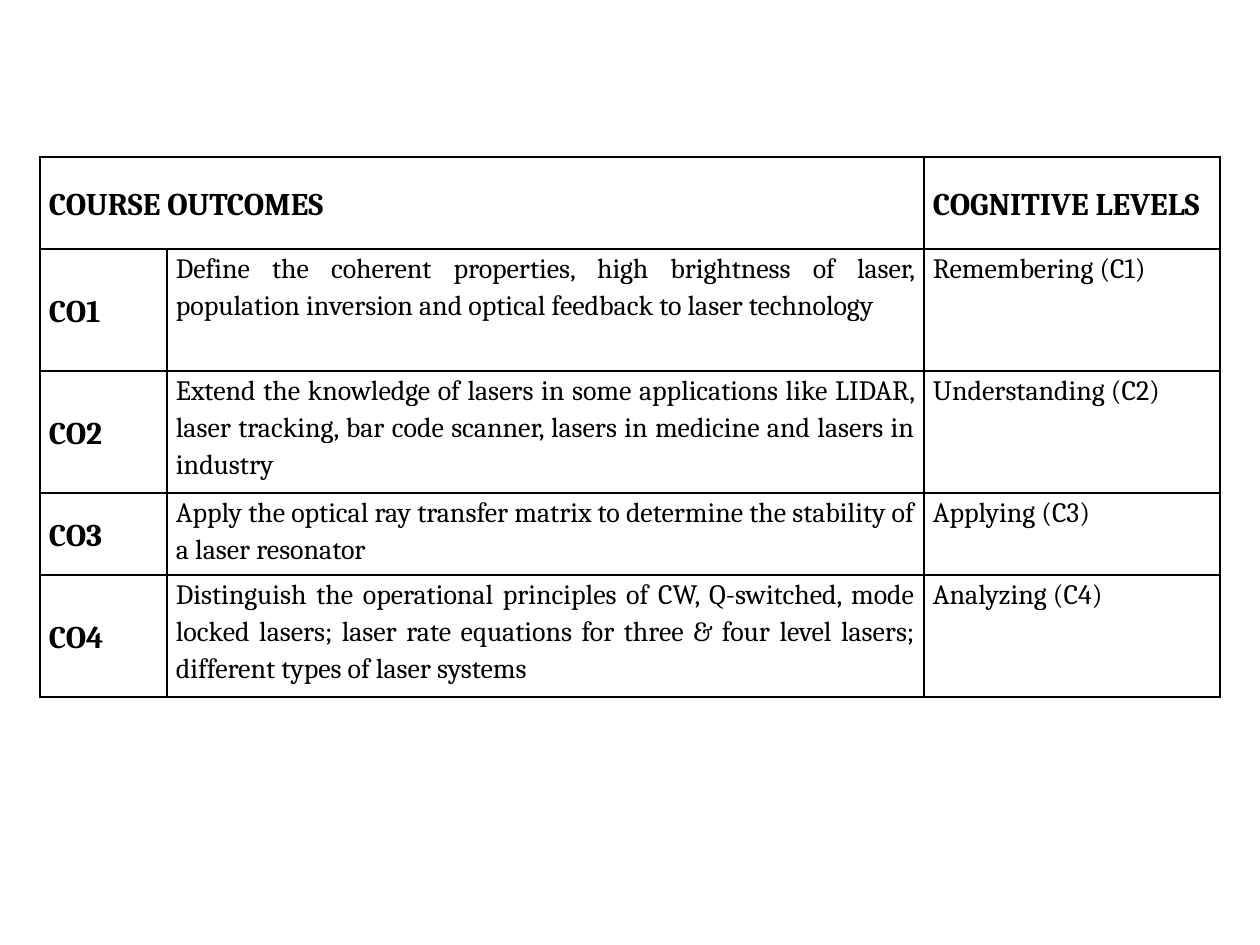
from lxml.etree import SubElement
from pptx import Presentation
from pptx.dml.color import RGBColor
from pptx.enum.text import MSO_ANCHOR as Anchor, PP_ALIGN as Align
from pptx.oxml.ns import qn
from pptx.util import Emu, Pt

SCALE = 914400 / 126
INK = "000000"
PAPER = "FFFFFF"
COLS = [127, 757, 296]
ROWS = [92, 122, 122, 82, 122]
GOALS = [
    ("Define the coherent properties, high brightness of laser, "
     "population inversion and optical feedback to laser technology",
     "Remembering (C1)"),
    ("Extend the knowledge of lasers in some applications like LIDAR, "
     "laser tracking, bar code scanner, lasers in medicine and lasers in industry",
     "Understanding (C2)"),
    ("Apply the optical ray transfer matrix to determine the stability of "
     "a laser resonator",
     "Applying (C3)"),
    ("Distinguish the operational principles of CW, Q-switched, mode locked "
     "lasers; laser rate equations for three & four level lasers; "
     "different types of laser systems",
     "Analyzing (C4)"),
]


def px(n):
    return Emu(round(n * SCALE))


def color(code):
    return RGBColor.from_string(code)


def frame(cell):
    """Rule all four sides of a cell and fill it."""
    props = cell._tc.get_or_add_tcPr()
    for side in ("lnL", "lnR", "lnT", "lnB"):
        line = SubElement(props, qn(f"a:{side}"), w=str(Pt(1.5)))
        fill = SubElement(line, qn("a:solidFill"))
        SubElement(fill, qn("a:srgbClr"), val=INK)
    cell.fill.solid()
    cell.fill.fore_color.rgb = color(PAPER)


def write(cell, text, head=False, align=Align.LEFT):
    cell.margin_left = cell.margin_right = px(9)
    cell.margin_top = cell.margin_bottom = 0
    cell.vertical_anchor = Anchor.MIDDLE if head else Anchor.TOP
    cell.text = text
    para = cell.text_frame.paragraphs[0]
    para.alignment = align
    para.line_spacing = 1.15
    font = para.font
    font.name = "Cambria"
    font.size = Pt(18 if head else 16)
    font.bold = head
    font.color.rgb = color(INK)


def add_goals(slide, left, top):
    """Place the table of course outcomes."""
    table = slide.shapes.add_table(
        len(ROWS), len(COLS), px(left), px(top),
        px(sum(COLS)), px(sum(ROWS))).table
    table.first_row = table.horz_banding = False
    for col, width in zip(table.columns, COLS):
        col.width = px(width)
    for row, height in zip(table.rows, ROWS):
        row.height = px(height)
    for cell in table.iter_cells():
        frame(cell)

    table.cell(0, 0).merge(table.cell(0, 1))
    write(table.cell(0, 0), "COURSE OUTCOMES", head=True)
    write(table.cell(0, 2), "COGNITIVE LEVELS", head=True)
    for i, (goal, level) in enumerate(GOALS, 1):
        write(table.cell(i, 0), f"CO{i}", head=True)
        write(table.cell(i, 1), goal, align=Align.JUSTIFY)
        write(table.cell(i, 2), level)


def main():
    deck = Presentation()
    deck.slide_width, deck.slide_height = px(1260), px(945)
    slide = deck.slides.add_slide(deck.slide_layouts[6])
    add_goals(slide, 40, 157)
    deck.save("out.pptx")


if __name__ == "__main__":
    main()
